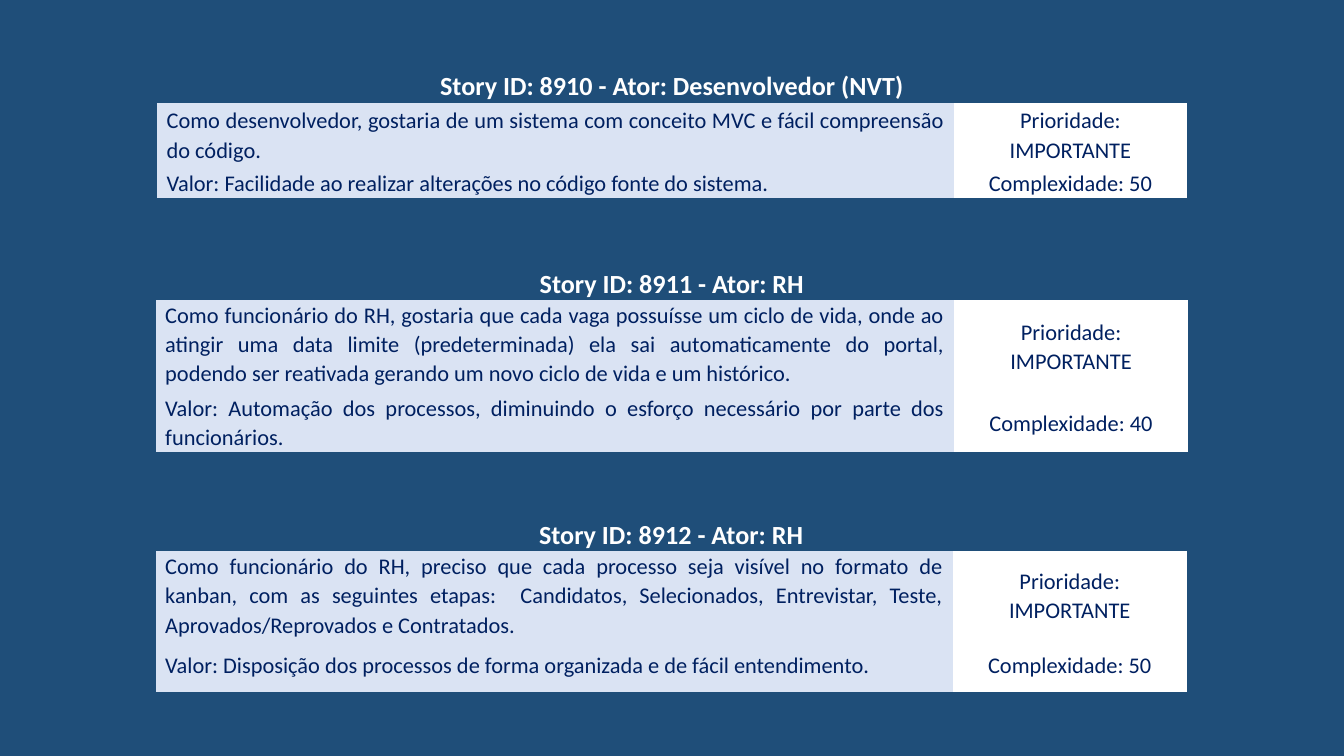
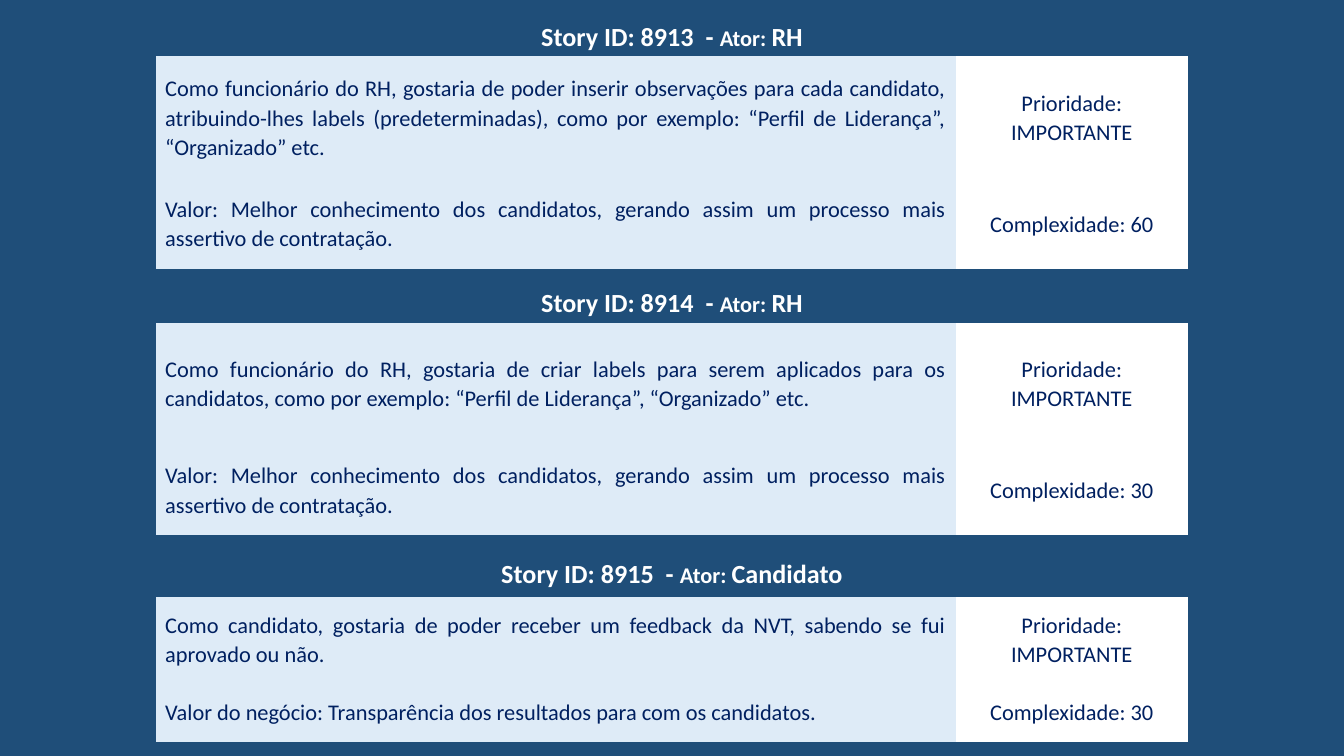
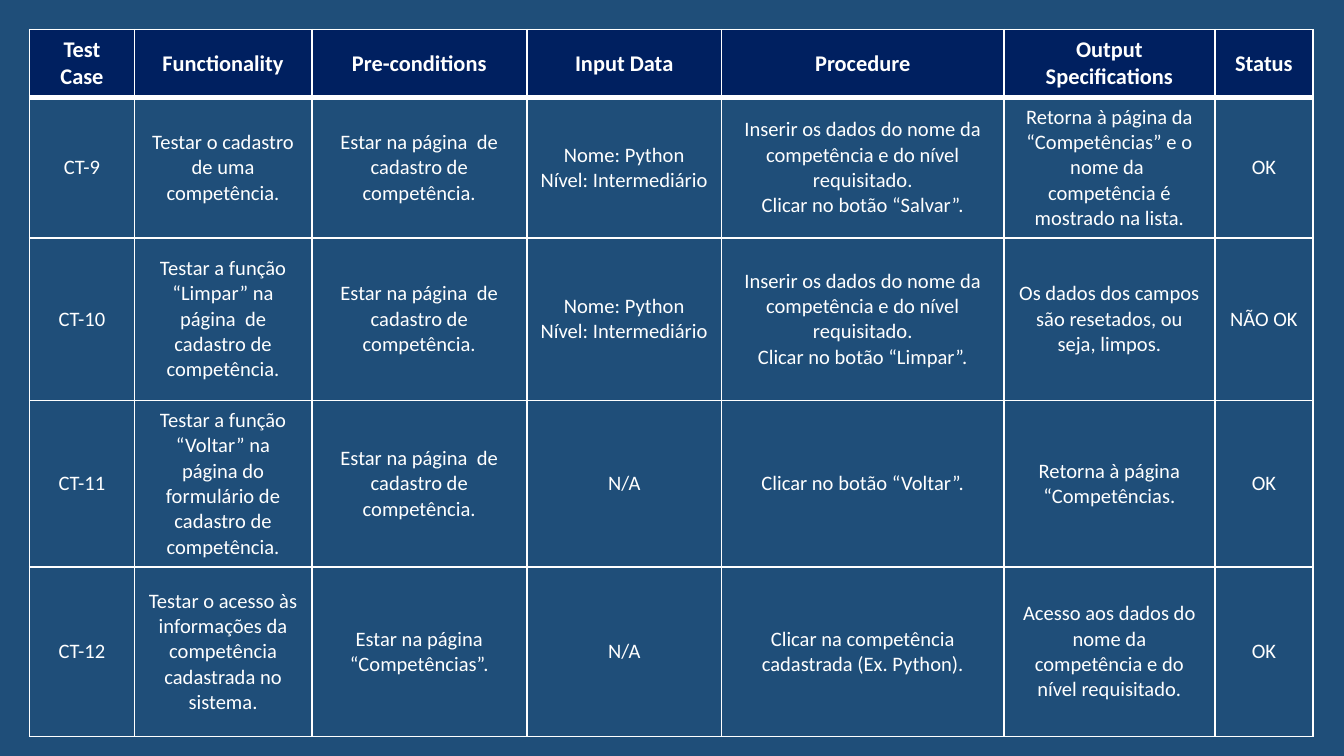
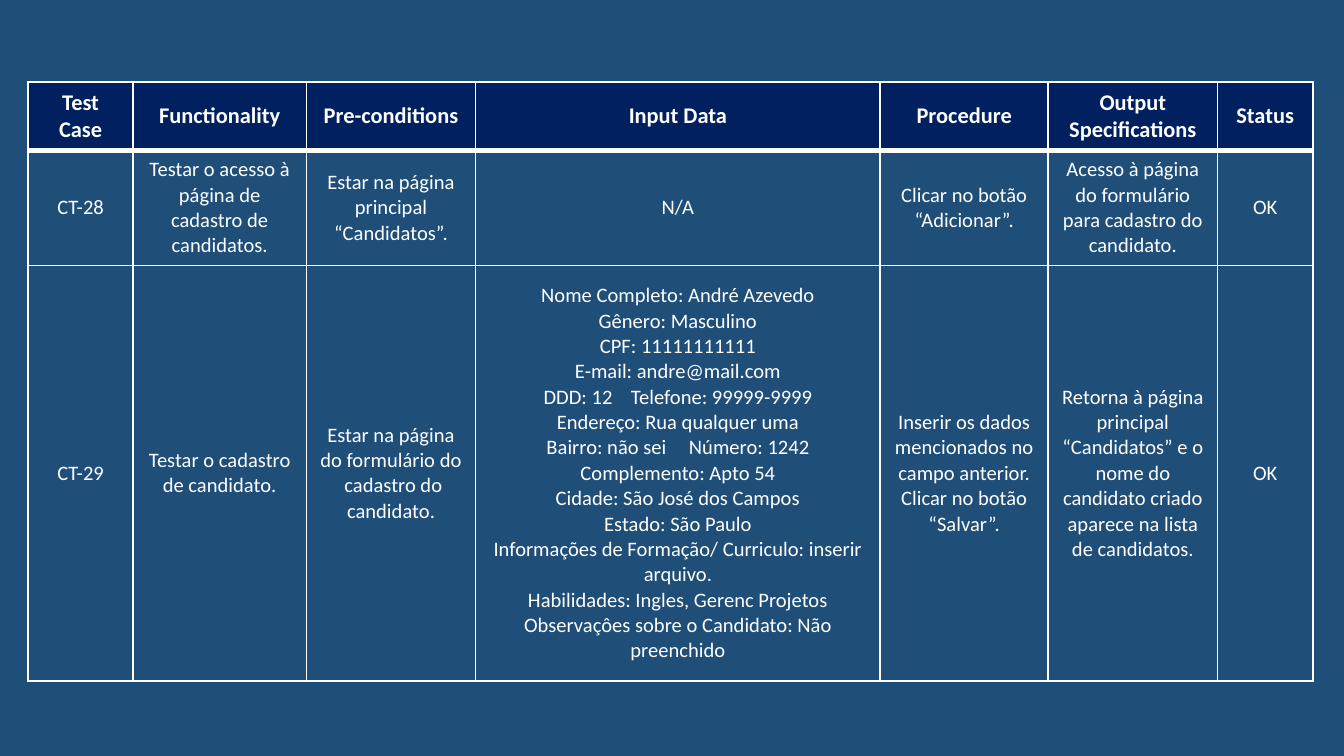
from lxml import etree
from pptx import Presentation
from pptx import util as u
from pptx.dml.color import RGBColor
from pptx.enum import text
from pptx.oxml import ns

# Shared look
BACKGROUND, NAVY, WHITE = "1F4E79", "002060", "FFFFFF"
LAVENDER, ICE = "DAE3F3", "DEEBF7"
FONT = "Calibri"
NO_STYLE = "{2D5ABB26-0587-4C30-8999-92F81FD0307C}"
CENTER, JUSTIFY = text.PP_ALIGN.CENTER, text.PP_ALIGN.JUSTIFY
TOP, MIDDLE = text.MSO_ANCHOR.TOP, text.MSO_ANCHOR.MIDDLE
TEST_HEADINGS = ["Test Case", "Functionality", "Pre-conditions", "Input Data",
                 "Procedure", "Output Specifications", "Status"]
COMPETENCE_PAGE = "Estar na página  de cadastro de competência."
COMPETENCE_INPUT = "Nome: Python\nNível: Intermediário"
COMPETENCE_STEPS = "Inserir os dados do nome da competência e do nível requisitado.\n"
CANDIDATE_INPUT = """Nome Completo: André Azevedo
Gênero: Masculino
CPF: 11111111111
E-mail: andre@mail.com
DDD: 12\tTelefone: 99999-9999
Endereço: Rua qualquer uma
Bairro: não sei\tNúmero: 1242
Complemento: Apto 54
Cidade: São José dos Campos
Estado: São Paulo
Informações de Formação/ Curriculo: inserir arquivo.
Habilidades: Ingles, Gerenc Projetos
Observaçôes sobre o Candidato: Não preenchido"""
LABEL_VALUE = ("Valor: Melhor conhecimento dos candidatos, gerando assim um "
               "processo mais assertivo de contratação.")

# Stories: left, top, column widths, row heights, body anchor,
# id, actor, wish, value, complexity
STORIES_1 = [
    (1.16, 1.98, [5.94, 1.74], [0.25, 0.69, 0.44], TOP, 8911, "RH",
     "Como funcionário do RH, gostaria que cada vaga possuísse um ciclo de vida, "
     "onde ao atingir uma data limite (predeterminada) ela sai automaticamente do "
     "portal, podendo ser reativada gerando um novo ciclo de vida e um histórico.",
     "Valor: Automação dos processos, diminuindo o esforço necessário por parte "
     "dos funcionários.", 40),
    (1.16, 3.85, [5.93, 1.74], [0.25, 0.65, 0.39], MIDDLE, 8912, "RH",
     "Como funcionário do RH, preciso que cada processo seja visível no formato de "
     "kanban, com as seguintes etapas:  Candidatos, Selecionados, Entrevistar, "
     "Teste, Aprovados/Reprovados e Contratados.",
     "Valor: Disposição dos processos de forma organizada e de fácil entendimento.",
     50),
    (1.17, 0.51, [5.93, 1.73], [0.25, 0.48, 0.23], MIDDLE, 8910,
     "Desenvolvedor (NVT)",
     "Como desenvolvedor, gostaria de um sistema com conceito MVC e fácil "
     "compreensão do código.",
     "Valor: Facilidade ao realizar alterações no código fonte do sistema.", 50),
]
STORIES_2 = [
    (1.16, 2.1, [5.95, 1.73], [0.3, 0.91, 0.67], MIDDLE, 8914, "RH",
     "Como funcionário do RH, gostaria de criar labels para serem aplicados para os "
     "candidatos, como por exemplo: “Perfil de Liderança”, “Organizado” etc.",
     LABEL_VALUE, 30),
    (1.16, 4.09, [5.95, 1.73], [0.35, 0.64, 0.44], MIDDLE, 8915, "Candidato",
     "Como candidato, gostaria de poder receber um feedback da NVT, sabendo se fui "
     "aprovado ou não.",
     "Valor do negócio: Transparência dos resultados para com os candidatos.", 30),
    (1.16, 0.12, [5.95, 1.73], [0.3, 0.91, 0.67], MIDDLE, 8913, "RH",
     "Como funcionário do RH, gostaria de poder inserir observações para cada "
     "candidato, atribuindo-lhes labels (predeterminadas), como por exemplo: "
     "“Perfil de Liderança”, “Organizado” etc.", LABEL_VALUE, 60),
]

# Test cases, in the order of TEST_HEADINGS
COMPETENCE_TESTS = [
    ["CT-9", "Testar o cadastro de uma competência.", COMPETENCE_PAGE,
     COMPETENCE_INPUT, COMPETENCE_STEPS + "Clicar no botão “Salvar”.",
     "Retorna à página da “Competências” e o nome da  competência é mostrado na lista.",
     "OK"],
    ["CT-10", "Testar a função “Limpar” na página  de cadastro de competência.",
     COMPETENCE_PAGE, COMPETENCE_INPUT,
     COMPETENCE_STEPS + "Clicar no botão “Limpar”.",
     "Os dados dos campos são resetados, ou seja, limpos.", "NÃO OK"],
    ["CT-11", "Testar a função “Voltar” na página do formulário de cadastro de "
     "competência.", COMPETENCE_PAGE, "N/A", "Clicar no botão “Voltar”.",
     "Retorna à página “Competências.", "OK"],
    ["CT-12", "Testar o acesso às informações da competência cadastrada no sistema.",
     "Estar na página “Competências”.", "N/A",
     "Clicar na competência cadastrada (Ex. Python).",
     "Acesso aos dados do nome da competência e do nível requisitado.", "OK"],
]
CANDIDATE_TESTS = [
    ["CT-28", "Testar o acesso à página de cadastro de candidatos.",
     "Estar na página principal “Candidatos”.", "N/A",
     "Clicar no botão “Adicionar”.",
     "Acesso à página do formulário para cadastro do candidato.", "OK"],
    ["CT-29", "Testar o cadastro de candidato.",
     "Estar na página do formulário do  cadastro do candidato.", CANDIDATE_INPUT,
     "Inserir os dados mencionados no campo anterior.\nClicar no botão “Salvar”.",
     "Retorna à página principal “Candidatos” e o nome do candidato criado aparece "
     "na lista de candidatos.", "OK"],
]


def rgb(color):
    return RGBColor.from_string(color)


def add_slide(prs):
    s = prs.slides.add_slide(prs.slide_layouts[6])
    s.background.fill.solid()
    s.background.fill.fore_color.rgb = rgb(BACKGROUND)
    return s


def add_run(p, content, *, size, color=WHITE, bold=False):
    r = p.add_run()
    r.text = content
    r.font.name, r.font.size, r.font.bold = FONT, u.Pt(size), bold
    r.font.color.rgb = rgb(color)


def add_tab_stop(p, position):
    tabs = etree.SubElement(p._p.get_or_add_pPr(), ns.qn("a:tabLst"))
    etree.SubElement(tabs, ns.qn("a:tab"), pos=str(u.Inches(position)), algn="l")


def fill_cell(cell, color):
    if color:
        cell.fill.solid()
        cell.fill.fore_color.rgb = rgb(color)
    else:
        cell.fill.background()


def write_cell(cell, content, *, align=CENTER, anchor=MIDDLE, spacing=None, fill=None,
               **font):
    """Write one paragraph for each line; a tab opens a gap inside a line."""
    cell.vertical_anchor = anchor
    fill_cell(cell, fill)
    tf = cell.text_frame
    for i, line in enumerate(content.split("\n")):
        p = tf.add_paragraph() if i else tf.paragraphs[0]
        p.alignment = align
        if spacing:
            p.line_spacing = spacing
        if "\t" in line:
            add_tab_stop(p, 0.65 if line.startswith("DDD") else 1.06)
        if line:
            add_run(p, line, **font)


def set_borders(cell, top, bottom):
    tc_pr = cell._tc.get_or_add_tcPr()
    for side, width in (("L", 1), ("R", 1), ("T", top), ("B", bottom)):
        ln = etree.SubElement(tc_pr, ns.qn(f"a:ln{side}"), w=str(u.Pt(width)))
        solid = etree.SubElement(ln, ns.qn("a:solidFill"))
        etree.SubElement(solid, ns.qn("a:srgbClr"), val=WHITE)


def add_plain_table(s, left, top, widths, heights):
    frame = s.shapes.add_table(len(heights), len(widths), u.Inches(left), u.Inches(top),
                               u.Inches(sum(widths)), u.Inches(sum(heights)))
    table = frame.table
    table.horz_banding = False
    table.first_row = False
    table._tbl.tblPr.find(ns.qn("a:tableStyleId")).text = NO_STYLE
    for column, width in zip(table.columns, widths):
        column.width = u.Inches(width)
    for row, height in zip(table.rows, heights):
        row.height = u.Inches(height)
    return table


def add_story(s, story, *, tint, dash, actor_size):
    (left, top, widths, heights, body_anchor,
     number, actor, wish, value, complexity) = story
    table = add_plain_table(s, left, top, widths, heights)
    for cell in table.iter_cells():
        cell.margin_left = cell.margin_right = u.Inches(0.07)
        cell.margin_top = cell.margin_bottom = 0
    # Heading across both columns
    head = table.cell(0, 0)
    head.merge(table.cell(0, 1))
    write_cell(head, "", spacing=1.07)
    p = head.text_frame.paragraphs[0]
    if actor_size == 14:
        add_run(p, f"Story ID: {number}{dash}Ator: {actor}", size=14, bold=True)
    else:
        for part, size in ((f"Story ID: {number}{dash}", 14), ("Ator: ", actor_size),
                           (actor, 14)):
            add_run(p, part, size=size, bold=True)
    # Wish and value beside priority and complexity
    rows = ((wish, "Prioridade: IMPORTANTE"), (value, f"Complexidade: {complexity}"))
    for i, (body, rating) in enumerate(rows, 1):
        write_cell(table.cell(i, 0), body, align=JUSTIFY, anchor=body_anchor,
                   spacing=1.07, fill=tint, size=12, color=NAVY)
        write_cell(table.cell(i, 1), rating, spacing=1.07, fill=WHITE,
                   size=12, color=NAVY)


def add_test_table(s, left, top, widths, heights, tests):
    table = add_plain_table(s, left, top, widths, heights)
    for i, row in enumerate([TEST_HEADINGS] + tests):
        heading = i == 0
        for j, content in enumerate(row):
            cell = table.cell(i, j)
            set_borders(cell, top=3 if i == 1 else 1, bottom=3 if heading else 1)
            write_cell(cell, content, fill=NAVY if heading else None,
                       size=12 if heading else 11, bold=heading)


def main():
    # Widescreen page, 16 to 9
    prs = Presentation()
    prs.slide_width = u.Inches(10)
    prs.slide_height = u.Inches(10 * 9 / 16)

    # User stories
    for stories, tint, dash, actor_size in ((STORIES_1, LAVENDER, " - ", 14),
                                            (STORIES_2, ICE, "  - ", 12)):
        s = add_slide(prs)
        for story in stories:
            add_story(s, story, tint=tint, dash=dash, actor_size=actor_size)

    # Test cases
    add_test_table(add_slide(prs), 0.22, 0.22, [0.78, 1.32, 1.6, 1.45, 2.1, 1.57, 0.73],
                   [0.5, 1.04, 1.21, 1.24, 1.26], COMPETENCE_TESTS)
    add_test_table(add_slide(prs), 0.21, 0.61, [0.78, 1.29, 1.26, 3.01, 1.25, 1.26, 0.71],
                   [0.5, 0.86, 3.09], CANDIDATE_TESTS)
    prs.save("out.pptx")


if __name__ == "__main__":
    main()
